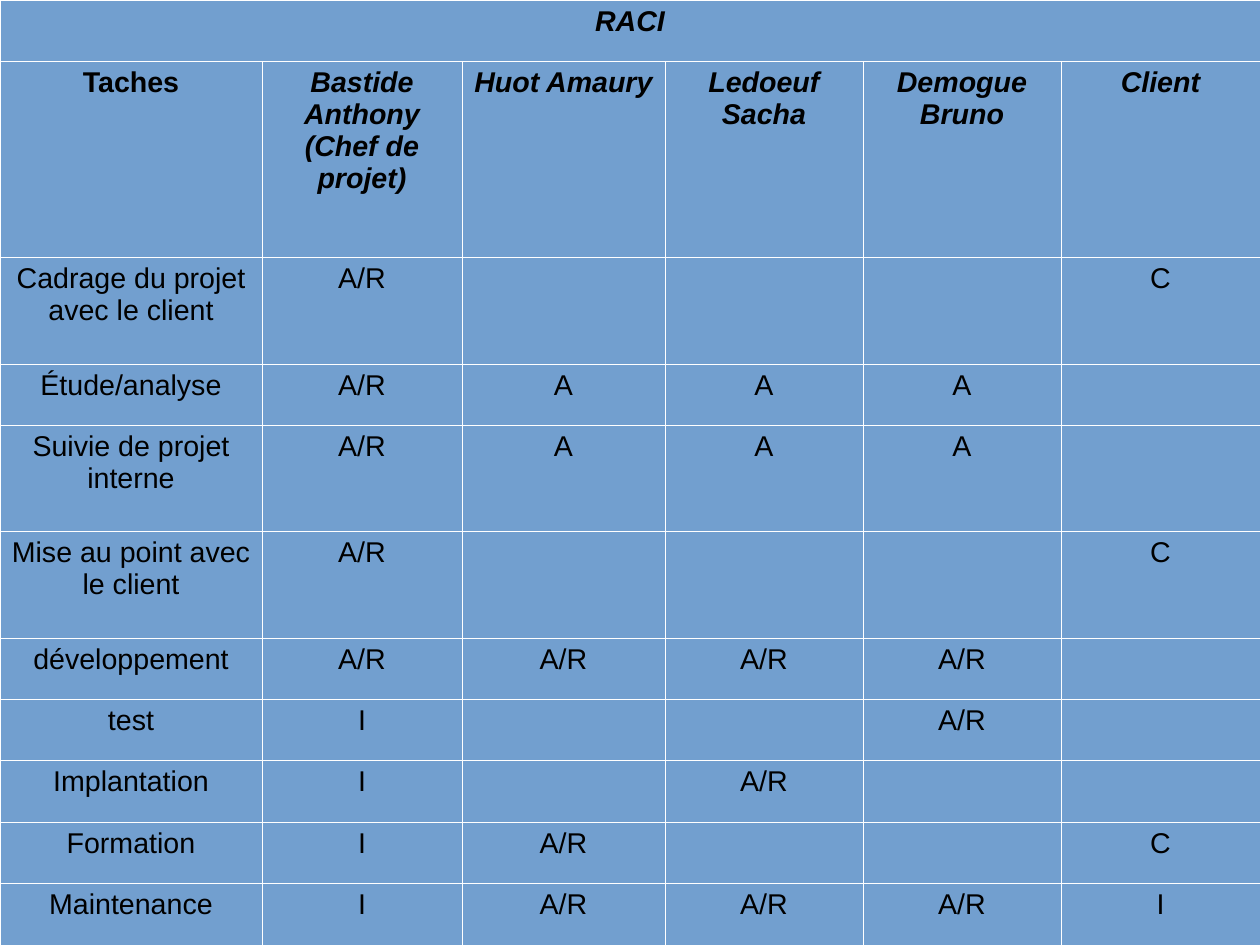
from lxml.etree import SubElement
from pptx import Presentation
from pptx.dml.color import RGBColor
from pptx.enum.text import MSO_ANCHOR, PP_ALIGN
from pptx.oxml.ns import qn
from pptx.util import Emu, Pt

SCALE = 8000  # EMU per px
WIDTH, HEIGHT = 1260, 945

COLUMN_WIDTHS = [262, 200, 203, 198, 198, 199]
ROW_HEIGHTS = [61, 196, 107, 61, 106, 107, 61, 61, 62, 61, 62]

TITLE = "RACI"
HEADERS = ["Taches", "Bastide Anthony (Chef de projet)", "Huot Amaury",
           "Ledoeuf Sacha", "Demogue Bruno", "Client"]
TASKS = [
    ["Cadrage du projet avec le client", "A/R", "", "", "", "C"],
    ["Étude/analyse", "A/R", "A", "A", "A", ""],
    ["Suivie de projet interne", "A/R", "A", "A", "A", ""],
    ["Mise au point avec le client", "A/R", "", "", "", "C"],
    ["développement", "A/R", "A/R", "A/R", "A/R", ""],
    ["test", "I", "", "", "A/R", ""],
    ["Implantation", "I", "", "A/R", "", ""],
    ["Formation", "I", "A/R", "", "", "C"],
    ["Maintenance", "I", "A/R", "A/R", "A/R", "I"],
]


def px(length):
    return Emu(length * SCALE)


def color(value):
    return RGBColor.from_string(value)


def write_text(frame, text, font="Arial", size=18, fill="000000",
               bold=False, italic=False, align=PP_ALIGN.CENTER):
    paragraph = frame.paragraphs[0]
    paragraph.alignment = align
    if not text:
        paragraph.font.size = Pt(size)
        return
    run = paragraph.add_run()
    run.text = text
    run.font.name = font
    run.font.size = Pt(size)
    run.font.bold = bold
    run.font.italic = italic
    run.font.color.rgb = color(fill)


class RaciSlide:
    cell_fill = "729FCF"
    border_color = "FFFFFF"
    border_width = Pt(0.06)

    def __init__(self, presentation):
        self.slide = presentation.slides.add_slide(presentation.slide_layouts[6])

    def add_table(self, left, top, column_widths, row_heights):
        table = self.slide.shapes.add_table(
            len(row_heights), len(column_widths), px(left), px(top),
            px(sum(column_widths)), px(sum(row_heights))).table
        table.first_row = table.horz_banding = False
        for column, width in zip(table.columns, column_widths):
            column.width = px(width)
        for row, height in zip(table.rows, row_heights):
            row.height = px(height)
        for cell in table.iter_cells():
            self.style_cell(cell)
        return table

    def style_cell(self, cell):
        cell.vertical_anchor = MSO_ANCHOR.TOP
        properties = cell._tc.get_or_add_tcPr()
        # Borders come before the fill in the cell properties
        for side in ("a:lnL", "a:lnR", "a:lnT", "a:lnB"):
            line = SubElement(properties, qn(side), w=str(self.border_width))
            solid = SubElement(line, qn("a:solidFill"))
            SubElement(solid, qn("a:srgbClr"), val=self.border_color)
        cell.fill.solid()
        cell.fill.fore_color.rgb = color(self.cell_fill)

    def fill_row(self, table, row_index, texts, **text_format):
        for column_index, text in enumerate(texts):
            cell = table.cell(row_index, column_index)
            write_text(cell.text_frame, text, **text_format)


def main():
    presentation = Presentation()
    presentation.slide_width = px(WIDTH)
    presentation.slide_height = px(HEIGHT)
    raci = RaciSlide(presentation)

    # Grid with a heading across all columns
    table = raci.add_table(0, 0, COLUMN_WIDTHS, ROW_HEIGHTS)
    heading = table.cell(0, 0)
    heading.merge(table.cell(0, len(COLUMN_WIDTHS) - 1))
    write_text(heading.text_frame, TITLE, bold=True, italic=True)

    # Column headers: people are in italics
    for column_index, header in enumerate(HEADERS):
        write_text(table.cell(1, column_index).text_frame, header,
                   bold=True, italic=column_index > 0)

    # Tasks and responsibilities
    for row_index, task in enumerate(TASKS, start=2):
        raci.fill_row(table, row_index, task)

    presentation.save("out.pptx")


if __name__ == "__main__":
    main()
